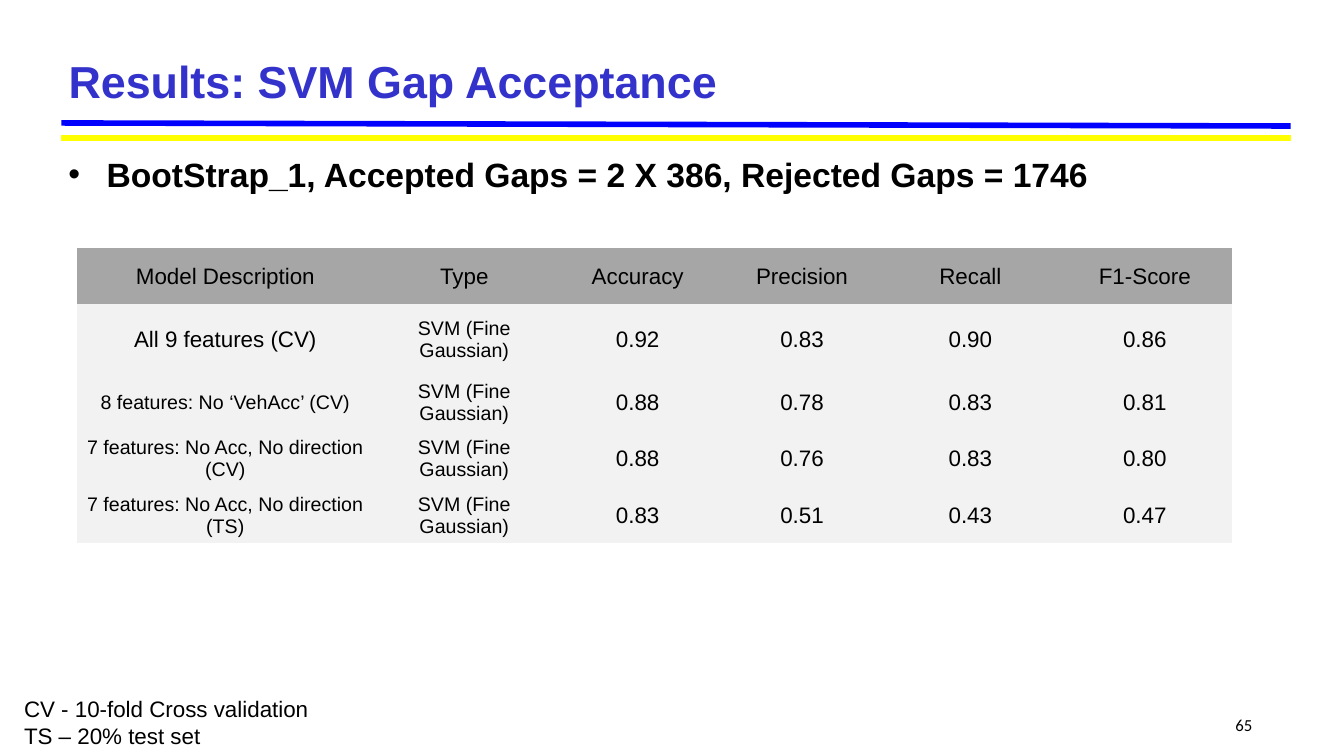
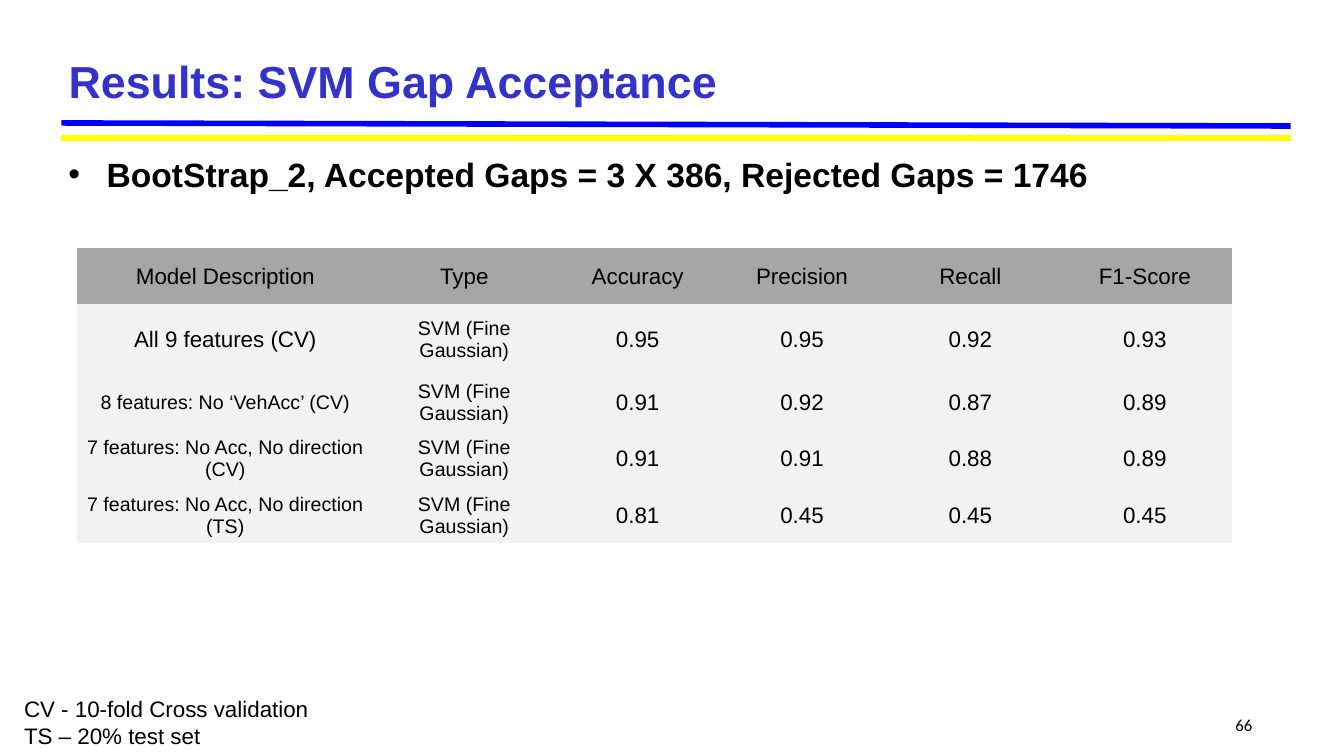
from lxml import etree
from pptx import Presentation
from pptx.dml.color import RGBColor
from pptx.enum.shapes import MSO_CONNECTOR as Link
from pptx.enum.text import MSO_ANCHOR as Anchor, PP_ALIGN as Align
from pptx.oxml.ns import qn
from pptx.util import Emu, Pt

# Shared look: 100 px to the inch
PX = 9144
FONT, NUM_FONT = "Arial", "Calibri"
BLACK, TITLE = "000000", "3333CC"
BLUE, YELLOW = "0000FF", "FFFF00"
HEAD, BODY = "A6A6A6", "F2F2F2"
PLAIN = "{2D5ABB26-0587-4C30-8999-92F81FD0307C}"  # no style, no grid

# Table layout and shared wording
COLS = [295, 179, 165, 161, 173, 173]
ROWS = [56, 69, 56, 56, 56]
HEADS = ["Model Description", "Type", "Accuracy", "Precision", "Recall", "F1-Score"]
KIND = "SVM (Fine Gaussian)"
MODELS = [
    ("All 9 features (CV)", 16),
    ("8 features: No ‘VehAcc’ (CV)", 14),
    ("7 features: No Acc, No direction (CV)", 14),
    ("7 features: No Acc, No direction (TS)", 14),
]
NOTES = ["CV - 10-fold Cross validation", "TS – 20% test set"]

# Per slide: page, bullet, scores
PAGES = [
    (65, "BootStrap_1, Accepted Gaps = 2 X 386, Rejected Gaps = 1746", [
        (0.92, 0.83, 0.90, 0.86),
        (0.88, 0.78, 0.83, 0.81),
        (0.88, 0.76, 0.83, 0.80),
        (0.83, 0.51, 0.43, 0.47),
    ]),
    (66, "BootStrap_2, Accepted Gaps = 3 X 386, Rejected Gaps = 1746", [
        (0.95, 0.95, 0.92, 0.93),
        (0.91, 0.92, 0.87, 0.89),
        (0.91, 0.91, 0.88, 0.89),
        (0.81, 0.45, 0.45, 0.45),
    ]),
]


def px(*vals):
    return [Emu(v * PX) for v in vals]


def rgb(code):
    return RGBColor.from_string(code)


def add_run(para, text, size, color=BLACK, bold=False, font=FONT):
    run = para.add_run()
    run.text = text
    run.font.name, run.font.size, run.font.bold = font, Pt(size), bold
    run.font.color.rgb = rgb(color)


def add_title(slide, text):
    shape = slide.shapes.title
    shape.left, shape.top, shape.width, shape.height = px(58, 50, 1222, 59)
    frame = shape.text_frame
    frame.vertical_anchor = Anchor.MIDDLE
    para = frame.paragraphs[0]
    para.alignment = Align.LEFT
    add_run(para, text, 32, TITLE, True)


def add_rule(slide, start, end, color):
    rule = slide.shapes.add_connector(Link.STRAIGHT, *px(*start, *end))
    rule.line.color.rgb = rgb(color)
    rule.line.width = Pt(4)
    etree.SubElement(rule.element.spPr, qn("a:effectLst"))


def add_text(slide, box, lines, size, align=Align.LEFT, **style):
    frame = slide.shapes.add_textbox(*px(*box)).text_frame
    frame.word_wrap = True
    for i, line in enumerate(lines):
        para = frame.add_paragraph() if i else frame.paragraphs[0]
        para.alignment = align
        add_run(para, line, size, **style)
    return frame


def add_bullet(para):
    props = para._p.get_or_add_pPr()
    props.set("marL", str(38 * PX))
    props.set("indent", str(-38 * PX))
    space = etree.SubElement(props, qn("a:spcBef"))
    etree.SubElement(space, qn("a:spcPct"), val="20000")
    etree.SubElement(props, qn("a:buFont"), typeface=FONT)
    etree.SubElement(props, qn("a:buChar"), char="•")


def fill_cell(cell, text, size, color):
    cell.fill.solid()
    cell.fill.fore_color.rgb = rgb(color)
    cell.vertical_anchor = Anchor.MIDDLE
    cell.margin_left, cell.margin_top, cell.margin_right, cell.margin_bottom = px(1, 1, 1, 0)
    para = cell.text_frame.paragraphs[0]
    para.alignment = Align.CENTER
    add_run(para, text, size)


def add_table(slide, scores):
    box = px(76, 246, sum(COLS), sum(ROWS))
    frame = slide.shapes.add_table(len(ROWS), len(COLS), *box)
    next(frame.element.iter(qn("a:tableStyleId"))).text = PLAIN
    table = frame.table
    table.first_row = table.horz_banding = False
    for col, width in zip(table.columns, px(*COLS)):
        col.width = width
    for row, height in zip(table.rows, px(*ROWS)):
        row.height = height

    data = [[(head, 16) for head in HEADS]]
    for model, vals in zip(MODELS, scores):
        data.append([model, (KIND, 14)] + [(f"{val:.2f}", 16) for val in vals])
    for r, line in enumerate(data):
        for c, (text, size) in enumerate(line):
            fill_cell(table.cell(r, c), text, size, BODY if r else HEAD)


def add_frame(slide, page):
    # Title, rules, page number and footnotes
    add_rule(slide, (61, 122), (1280, 125), BLUE)
    add_rule(slide, (61, 137), (1280, 137), YELLOW)
    add_title(slide, "Results: SVM Gap Acceptance")
    add_text(slide, (1210, 704, 42, 26), [str(page)], 12, Align.RIGHT, font=NUM_FONT)
    add_text(slide, (14, 685, 667, 64), NOTES, 16)


def main():
    prs = Presentation()
    prs.slide_width, prs.slide_height = px(1333, 750)
    for page, point, scores in PAGES:
        slide = prs.slides.add_slide(prs.slide_layouts[5])
        add_frame(slide, page)
        body = add_text(slide, (58, 148, 1227, 59), [point], 24, bold=True)
        add_bullet(body.paragraphs[0])
        add_table(slide, scores)
    prs.save("out.pptx")


if __name__ == "__main__":
    main()
